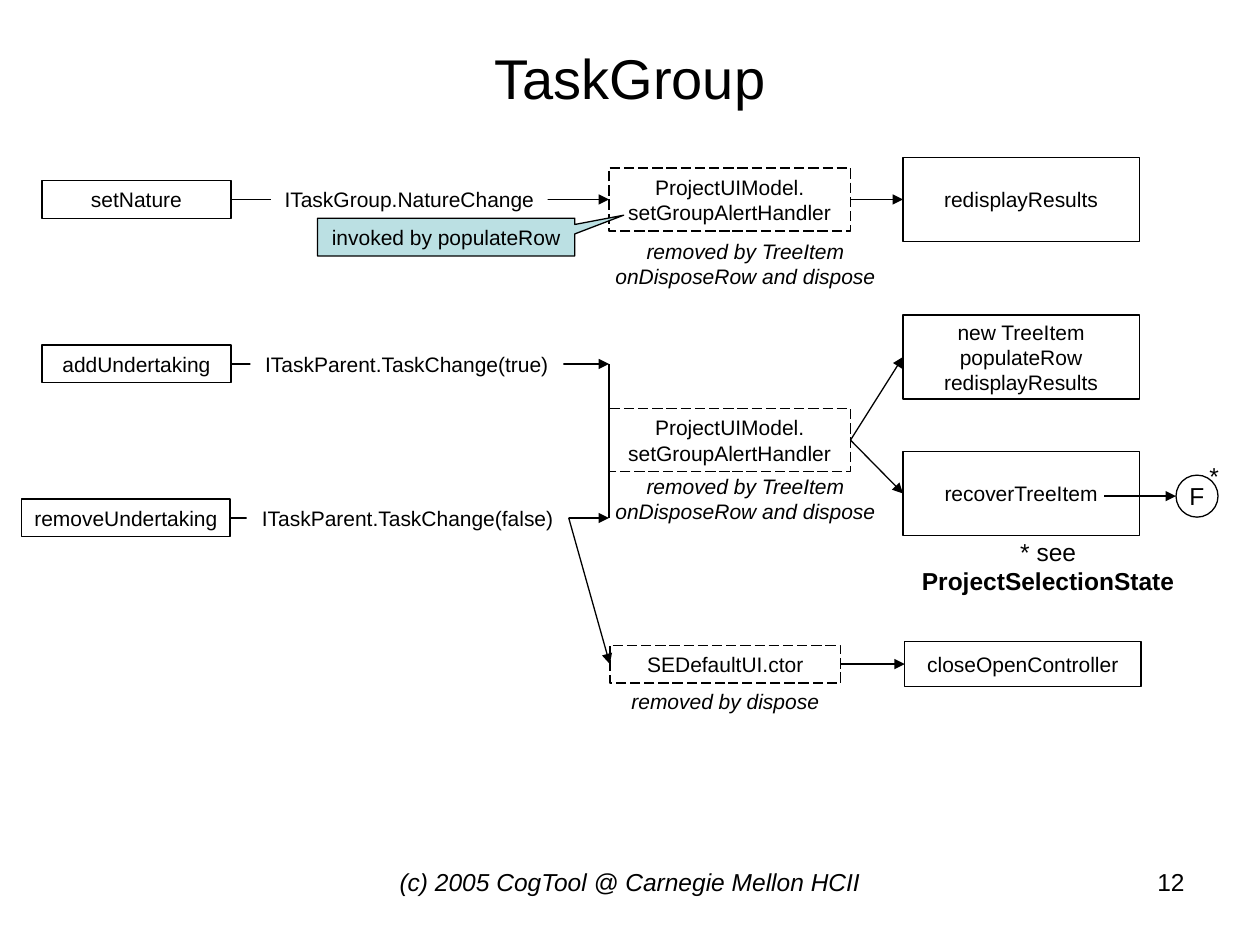
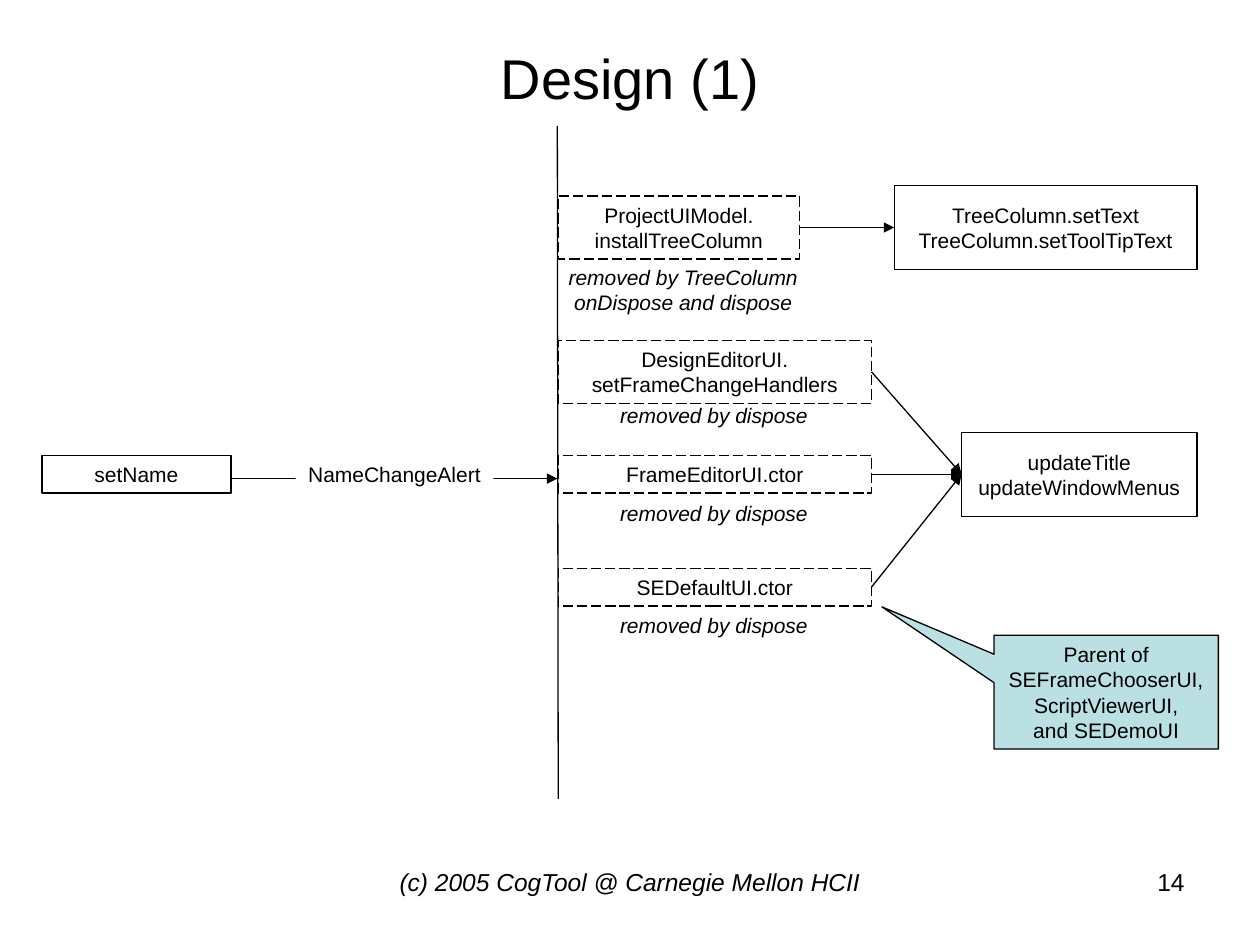
"""Build two alert-handler diagrams that share one title, node and footer style."""
from lxml import etree
from pptx import Presentation
from pptx.dml.color import RGBColor
from pptx.enum import dml, shapes, text
from pptx.oxml.ns import qn
from pptx.util import Pt

COLORS = {"ink": "000000", "paper": "FFFFFF", "callout": "BBE0E3"}
FONT = "Arial"
FOOTER = "(c) 2005 CogTool @ Carnegie Mellon HCII"
RECT = shapes.MSO_SHAPE.RECTANGLE
CALLOUT = shapes.MSO_SHAPE.RECTANGULAR_CALLOUT
OVAL = shapes.MSO_SHAPE.OVAL

# style: preset (None for a text box), fill, outlined, dashed, italic, size, wrap, height
STYLES = {
    "source": (RECT, None, True, False, False, 12, False, None),
    "action": (RECT, None, True, False, False, 12, True, 48),
    "handler": (RECT, None, True, True, False, 12, True, None),
    "event": (RECT, "paper", False, False, False, 12, False, None),
    "note": (None, None, False, False, True, 12, True, None),
    "callout": (CALLOUT, "callout", True, False, False, 12, True, None),
    "state": (OVAL, None, True, False, False, 14, False, 24),
    "mark": (None, None, False, False, False, 14, False, 24),
}

TREE_NOTE = "removed by TreeItem onDisposeRow and dispose"
DISPOSE_NOTE = "removed by dispose"
GROUP_HANDLER = "ProjectUIModel.\nsetGroupAlertHandler"

# node: style, left, vertical centre, width, text, then height where it differs
# link: start, end, arrowhead; an end is a node name or a point
SLIDES = [
    {
        "title": "TaskGroup",
        "number": "12",
        "layers": [
            ({
                "set nature": ("source", 24, 114, 108, "setNature"),
                "add": ("source", 24, 208, 108, "addUndertaking"),
                "remove": ("source", 12.5, 296, 119, "removeUndertaking"),
                "nature handler": ("handler", 348, 114, 138, GROUP_HANDLER),
                "task handler": ("handler", 348, 251.5, 138, GROUP_HANDLER),
                "default ui": ("handler", 348.5, 379.5, 132, "SEDefaultUI.ctor"),
                "redisplay": ("action", 516, 114, 135, "redisplayResults"),
                "new item": ("action", 516, 204, 135,
                             "new TreeItem\npopulateRow\nredisplayResults"),
                "recover": ("action", 516, 282, 135, "recoverTreeItem"),
                "close": ("action", 517, 379.5, 135, "closeOpenController", 26),
                "nature note": ("note", 335.5, 150.5, 181, TREE_NOTE, 36),
                "task note": ("note", 335.5, 285, 181, TREE_NOTE, 36),
                "default note": ("note", 348.5, 400.5, 132, DISPOSE_NOTE),
                "state": ("state", 672, 283.5, 24, "F"),
                "star": ("mark", 684, 272, 19.5, "*"),
                "see": ("mark", 502, 323.5, 194, "* see |ProjectSelectionState"),
            }, [
                ("set nature", "nature handler", True),
                ("add", (348, 208), True),
                ("remove", (348, 296), True),
                ((348, 208), (348, 296), False),
                ("nature handler", "redisplay", True),
                ("task handler", "new item", True),
                ("task handler", "recover", True),
                ((631, 283.5), (672, 283.5), True),
                ("default ui", "close", True),
            ]),
            ({
                "nature": ("event", 155, 114, 158, "ITaskGroup.NatureChange"),
                "added": ("event", 143, 208, 179, "ITaskParent.TaskChange(true)"),
                "removed": ("event", 141, 296, 184, "ITaskParent.TaskChange(false)"),
                "invoked": ("callout", 181.5, 135.5, 147, "invoked by populateRow"),
            }, [("removed", "default ui", True)]),
        ],
        "pointers": {"invoked": (0.69, -0.58)},
    },
    {
        "title": "Design (1)",
        "number": "14",
        "layers": [
            ({
                "set name": ("source", 24, 271, 108, "setName"),
                "column": ("handler", 319, 130, 138,
                           "ProjectUIModel.\ninstallTreeColumn"),
                "design": ("handler", 319, 212.5, 179,
                           "DesignEditorUI.\nsetFrameChangeHandlers"),
                "frame": ("handler", 319, 271, 179, "FrameEditorUI.ctor"),
                "default ui": ("handler", 319, 335.5, 179, "SEDefaultUI.ctor"),
                "set text": ("action", 511, 130, 173,
                             "TreeColumn.setText\nTreeColumn.setToolTipText"),
                "update": ("action", 549.5, 271, 134.5,
                           "updateTitle\nupdateWindowMenus"),
                "column note": ("note", 309.5, 165.5, 162,
                                "removed by TreeColumn onDispose and dispose", 36),
                "design note": ("note", 342, 237, 132, DISPOSE_NOTE),
                "frame note": ("note", 342, 293.5, 132, DISPOSE_NOTE),
                "default note": ("note", 342, 357, 132, DISPOSE_NOTE),
            }, [
                ("column", "set text", True),
                ("design", "update", True),
                ("frame", "update", True),
                ("default ui", "update", True),
                ((132, 273.5), (318.5, 273.5), True),
                ((318.5, 72), (319, 456.5), False),
            ]),
            ({
                "name change": ("event", 169, 271, 113, "NameChangeAlert"),
                "parent": ("callout", 568, 395.5, 128.2,
                           "Parent of SEFrameChooserUI,\nScriptViewerUI,\nand SEDemoUI",
                           65),
            }, []),
        ],
        "pointers": {"parent": (-1, -0.75)},
    },
]


def color(name):
    return RGBColor.from_string(COLORS[name])


def format_text(tf, size, italic=False, align=text.PP_ALIGN.CENTER):
    for p in tf.paragraphs:
        p.alignment = align
        for r in p.runs:
            r.font.name = FONT
            r.font.size = Pt(size)
            r.font.italic = italic
            r.font.color.rgb = color("ink")


def add_node(s, style, left, middle, width, words, height=None):
    preset, fill, outlined, dashed, italic, size, wrap, usual = STYLES[style]
    height = height or usual or 7.2 + 14.4 * len(words.split("\n"))
    box = Pt(left), Pt(middle - height / 2), Pt(width), Pt(height)
    if preset is None:
        sp = s.shapes.add_textbox(*box)
    else:
        sp = s.shapes.add_shape(preset, *box)
        sp.shadow.inherit = False
        if fill:
            sp.fill.solid()
            sp.fill.fore_color.rgb = color(fill)
        else:
            sp.fill.background()
        if outlined:
            sp.line.color.rgb = color("ink")
            sp.line.width = Pt(0.75)
        else:
            sp.line.fill.background()
        if dashed:
            sp.line.dash_style = dml.MSO_LINE.LONG_DASH
    tf = sp.text_frame
    tf.word_wrap = wrap
    tf.vertical_anchor = text.MSO_ANCHOR.MIDDLE
    plain, _, bold = words.partition("|")
    tf.text = plain
    if bold:
        r = tf.paragraphs[0].add_run()
        r.text = bold
        r.font.bold = True
    format_text(tf, size, italic)
    return sp


def add_link(s, nodes, start, end, arrow):
    x1, y1 = (0, 0) if start in nodes else start
    x2, y2 = (0, 0) if end in nodes else end
    c = s.shapes.add_connector(shapes.MSO_CONNECTOR.STRAIGHT,
                               Pt(x1), Pt(y1), Pt(x2), Pt(y2))
    if start in nodes:
        c.begin_connect(nodes[start], 3)
    if end in nodes:
        c.end_connect(nodes[end], 1)
    c.line.color.rgb = color("ink")
    c.line.width = Pt(0.75)
    pr = c.element.spPr
    if arrow:
        etree.SubElement(pr.find(qn("a:ln")), qn("a:tailEnd"), type="triangle")
    etree.SubElement(pr, qn("a:effectLst"))


def add_footer(s, left, width, words, align, italic=False):
    tf = s.shapes.add_textbox(Pt(left), Pt(492), Pt(width), Pt(37.5)).text_frame
    tf.word_wrap = True
    tf.text = words
    format_text(tf, 14, italic, align)


def add_slide(prs, content):
    s = prs.slides.add_slide(prs.slide_layouts[5])
    title = s.shapes.title
    title.left, title.top, title.width, title.height = Pt(36), Pt(21.5), Pt(648), Pt(45)
    title.text_frame.text = content["title"]
    title.text_frame.vertical_anchor = text.MSO_ANCHOR.MIDDLE
    format_text(title.text_frame, 32)
    nodes = {}
    for layer, links in content["layers"]:
        for name, node in layer.items():
            nodes[name] = add_node(s, *node)
        for link in links:
            add_link(s, nodes, *link)
    for name, (dx, dy) in content["pointers"].items():
        nodes[name].adjustments[0] = dx
        nodes[name].adjustments[1] = dy
    add_footer(s, 204, 312, FOOTER, text.PP_ALIGN.CENTER, italic=True)
    add_footer(s, 516, 168, content["number"], text.PP_ALIGN.RIGHT)


def main():
    prs = Presentation()
    prs.slide_width, prs.slide_height = Pt(720), Pt(540)
    for content in SLIDES:
        add_slide(prs, content)
    prs.save("out.pptx")


if __name__ == "__main__":
    main()
